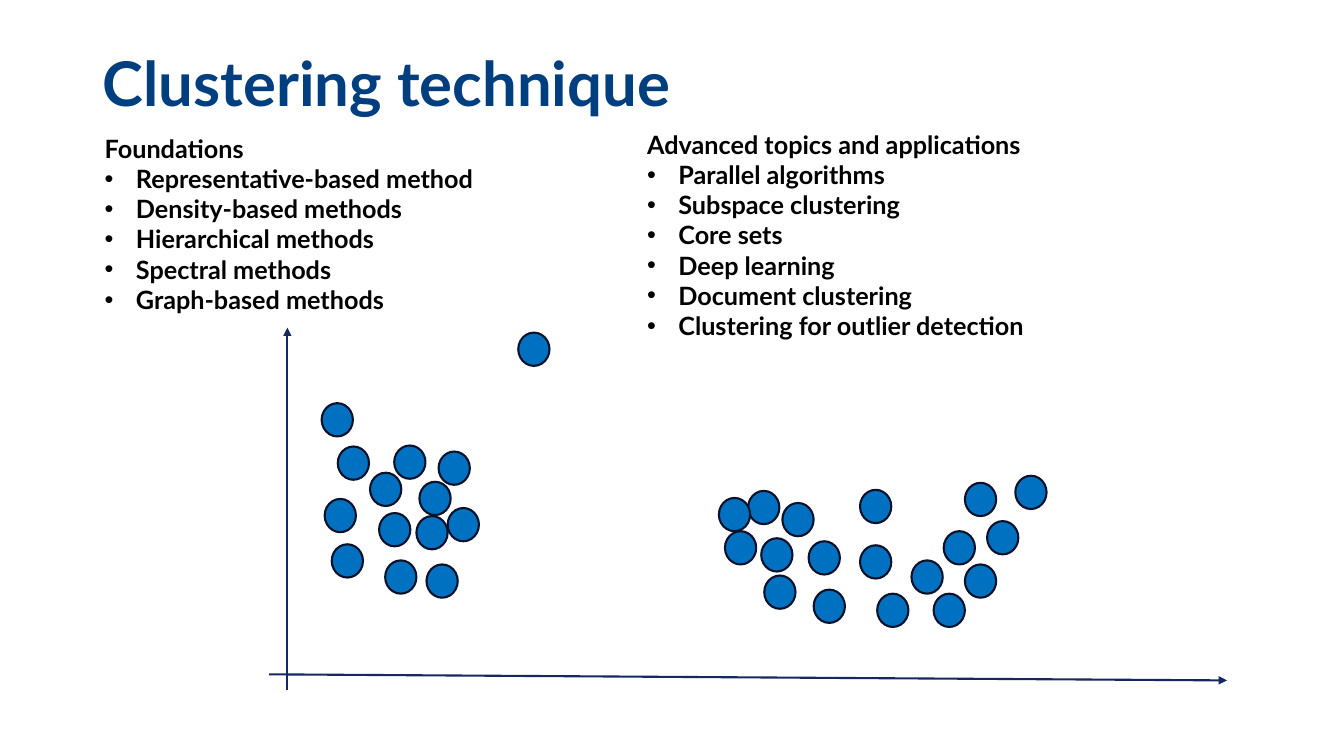
import dataclasses

import lxml.etree
import pptx
import pptx.dml.color
import pptx.enum.shapes
import pptx.enum.text
import pptx.oxml.ns
import pptx.util


@dataclasses.dataclass(frozen=True)
class Theme:
    font: str = "Lato"
    title: str = "003F7F"
    text: str = "000000"
    axis: str = "162860"
    dot: str = "0070C0"
    edge: str = "0A122A"
    head_size: int = 44
    body_size: int = 18
    stroke: float = 1.5


THEME = Theme()

# Grid of one-inch cells
COLS, ROWS = 13.33, 7.5
DOT = (0.31, 0.33)
INDENT = 0.31

# Left and top of each point, by group
LEFT_GROUP = [
    (3.67, 4.69), (4.13, 5.12), (3.76, 5.09), (3.29, 5.4), (3.82, 5.56),
    (4.23, 5.6), (4.35, 4.48), (3.22, 4.95), (3.91, 4.42), (3.35, 4.43),
    (4.16, 4.78), (4.44, 5.04), (3.19, 4),
]
RIGHT_GROUP = [
    (7.76, 4.99), (7.42, 4.87), (7.55, 5.34), (7.19, 5.27), (8.02, 5.37),
    (7.58, 5.71), (7.13, 4.94), (8.07, 5.85), (8.7, 5.89), (8.53, 5.41),
    (9.04, 5.56), (8.53, 4.86), (9.26, 5.89), (9.57, 5.6), (9.79, 5.17),
    (9.57, 4.79), (10.07, 4.72), (9.36, 5.27),
]
OUTLIER = [(5.14, 3.3)]

BASICS = ["Representative-based method", "Density-based methods",
          "Hierarchical methods", "Spectral methods", "Graph-based methods"]
TOPICS = ["Parallel algorithms", "Subspace clustering", "Core sets",
          "Deep learning", "Document clustering",
          "Clustering for outlier detection"]


def cells(*nums):
    return [pptx.util.Inches(num) for num in nums]


def color(code):
    return pptx.dml.color.RGBColor.from_string(code)


def add_tag(parent, name, **attrs):
    return lxml.etree.SubElement(parent, pptx.oxml.ns.qn(name), attrs)


def add_run(para, words, size, code):
    run = para.add_run()
    run.text = words
    run.font.name = THEME.font
    run.font.size = pptx.util.Pt(size)
    run.font.bold = True
    run.font.color.rgb = color(code)


def set_title(slide, words):
    title = slide.shapes.title
    title.left, title.top, title.width, title.height = cells(0.92, 0.4, 11.5, 0.91)
    frame = title.text_frame
    frame.auto_size = pptx.enum.text.MSO_AUTO_SIZE.NONE
    frame.vertical_anchor = pptx.enum.text.MSO_ANCHOR.MIDDLE
    para = frame.paragraphs[0]
    para.alignment = pptx.enum.text.PP_ALIGN.LEFT
    para.line_spacing = 0.9
    add_run(para, words, THEME.head_size, THEME.title)


def add_axis(slide, start, end):
    line = slide.shapes.add_connector(
        pptx.enum.shapes.MSO_CONNECTOR.STRAIGHT, *cells(*start, *end))
    line.line.color.rgb = color(THEME.axis)
    line.line.width = pptx.util.Pt(THEME.stroke)
    add_tag(line.line._get_or_add_ln(), "a:tailEnd", type="triangle")
    add_tag(line._element.spPr, "a:effectLst")


def add_dots(slide, spots):
    for spot in spots:
        dot = slide.shapes.add_shape(
            pptx.enum.shapes.MSO_SHAPE.OVAL, *cells(*spot, *DOT))
        dot.shadow.inherit = False
        dot.fill.solid()
        dot.fill.fore_color.rgb = color(THEME.dot)
        dot.line.color.rgb = color(THEME.edge)
        dot.line.width = pptx.util.Pt(THEME.stroke)


def add_list(slide, area, head, items):
    frame = slide.shapes.add_textbox(*cells(*area)).text_frame
    frame.word_wrap = True
    frame.auto_size = pptx.enum.text.MSO_AUTO_SIZE.SHAPE_TO_FIT_TEXT
    add_run(frame.paragraphs[0], head, THEME.body_size, THEME.text)
    for item in items:
        para = frame.add_paragraph()
        props = para._p.get_or_add_pPr()
        step = pptx.util.Inches(INDENT)
        props.set("marL", str(step))
        props.set("indent", str(-step))
        add_tag(props, "a:buFont", typeface="Arial")
        add_tag(props, "a:buChar", char="•")
        add_run(para, item, THEME.body_size, THEME.text)


def main():
    deck = pptx.Presentation()
    deck.slide_width, deck.slide_height = cells(COLS, ROWS)
    slide = deck.slides.add_slide(deck.slide_layouts[5])
    set_title(slide, "Clustering technique")

    # Scatter plot
    add_axis(slide, (2.67, 6.69), (12.17, 6.75))
    add_axis(slide, (2.85, 6.85), (2.85, 3.25))
    for group in (LEFT_GROUP, OUTLIER, RIGHT_GROUP):
        add_dots(slide, group)

    # Topic lists
    add_list(slide, (0.94, 1.27, 5.19, 1.92), "Foundations", BASICS)
    add_list(slide, (6.32, 1.23, 5.19, 2.22),
             "Advanced topics and applications", TOPICS)

    deck.save("out.pptx")


if __name__ == "__main__":
    main()
